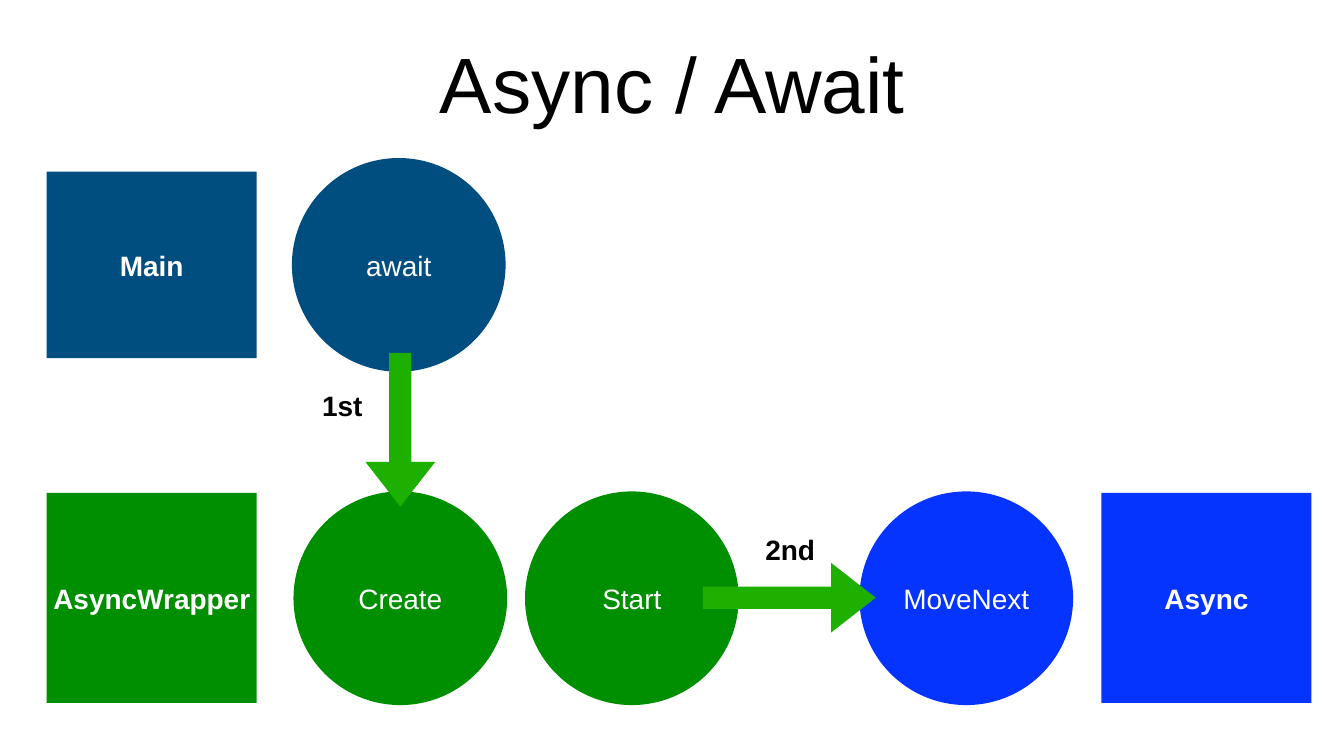
from dataclasses import dataclass

from pptx import Presentation
from pptx.dml.color import RGBColor
from pptx.enum.shapes import MSO_SHAPE
from pptx.enum.text import MSO_ANCHOR, MSO_AUTO_SIZE, PP_ALIGN
from pptx.util import Pt

EMU_PER_PX = 9525


def px(length):
    return length * EMU_PER_PX


@dataclass(frozen=True)
class Theme:
    font: str = "Arial"
    title_size: int = 112
    body_size: int = 40
    ink: str = "000000"
    paper: str = "FFFFFF"
    main: str = "004D80"
    wrapper: str = "008F01"
    state_machine: str = "0533FF"
    arrow: str = "1EB001"


class FlowSlide:
    def __init__(self, slide, theme):
        self.slide = slide
        self.theme = theme

    def _write(self, frame, text, size, color, bold=False, inset=0):
        frame.text = text
        frame.vertical_anchor = MSO_ANCHOR.MIDDLE
        frame.margin_left = frame.margin_right = px(inset)
        frame.margin_top = frame.margin_bottom = px(inset)
        paragraph = frame.paragraphs[0]
        paragraph.alignment = PP_ALIGN.CENTER
        font = paragraph.runs[0].font
        font.name = self.theme.font
        font.size = Pt(size)
        font.bold = bold
        font.color.rgb = RGBColor.from_string(color)

    def _shape(self, preset, left, top, width, height, fill):
        shape = self.slide.shapes.add_shape(
            preset, px(left), px(top), px(width), px(height))
        shape.shadow.inherit = False
        shape.fill.solid()
        shape.fill.fore_color.rgb = RGBColor.from_string(fill)
        shape.line.fill.background()
        return shape

    def title(self, text, left, top, width, height):
        title = self.slide.shapes.title
        title.left, title.top = px(left), px(top)
        title.width, title.height = px(width), px(height)
        title.text_frame.auto_size = MSO_AUTO_SIZE.NONE
        self._write(title.text_frame, text, self.theme.title_size,
                    self.theme.ink, inset=6)

    def actor(self, text, left, top, width, height, fill):
        box = self._shape(MSO_SHAPE.RECTANGLE, left, top, width, height, fill)
        self._write(box.text_frame, text, self.theme.body_size,
                    self.theme.paper, bold=True)

    def step(self, text, left, top, diameter, fill):
        circle = self._shape(MSO_SHAPE.OVAL, left, top, diameter, diameter, fill)
        self._write(circle.text_frame, text, self.theme.body_size,
                    self.theme.paper)

    def arrow(self, left, top, length, thickness, rotation=0):
        arrow = self._shape(MSO_SHAPE.RIGHT_ARROW, left, top, length,
                            thickness, self.theme.arrow)
        arrow.adjustments[0] = 0.32
        arrow.adjustments[1] = 0.64
        arrow.rotation = rotation

    def label(self, text, left, top, width, height):
        label = self.slide.shapes.add_textbox(
            px(left), px(top), px(width), px(height))
        label.text_frame.word_wrap = False
        label.text_frame.auto_size = MSO_AUTO_SIZE.NONE
        self._write(label.text_frame, text, self.theme.body_size,
                    self.theme.ink, bold=True, inset=6)


def main():
    theme = Theme()
    deck = Presentation()
    deck.slide_width, deck.slide_height = px(2560), px(1440)
    flow = FlowSlide(deck.slides.add_slide(deck.slide_layouts[5]), theme)

    flow.title("Async / Await", 178, 37, 2205, 240)

    # Actors
    actor_width, actor_left, lower_top = 400, 89, 939
    for name, left, top, height, fill in (
        ("Main", actor_left, 327, 355, theme.main),
        ("AsyncWrapper", actor_left, lower_top, 400, theme.wrapper),
        ("Async", 2098, lower_top, 400, theme.state_machine),
    ):
        flow.actor(name, left, top, actor_width, height, fill)

    # Steps
    diameter, step_top = 407, 936
    for name, left, top, fill in (
        ("await", 556, 301, theme.main),
        ("Create", 559, step_top, theme.wrapper),
        ("Start", 1000, step_top, theme.wrapper),
        ("MoveNext", 1637, step_top, theme.state_machine),
    ):
        flow.step(name, left, top, diameter, fill)

    # Numbered calls between the steps
    thickness = 133
    flow.arrow(616, 752, 293, thickness, rotation=90)
    flow.label("1st", 605, 735, 94, 75)
    flow.arrow(1339, 1072, 329, thickness)
    flow.label("2nd", 1448, 1008, 114, 75)

    deck.save("out.pptx")


if __name__ == "__main__":
    main()
